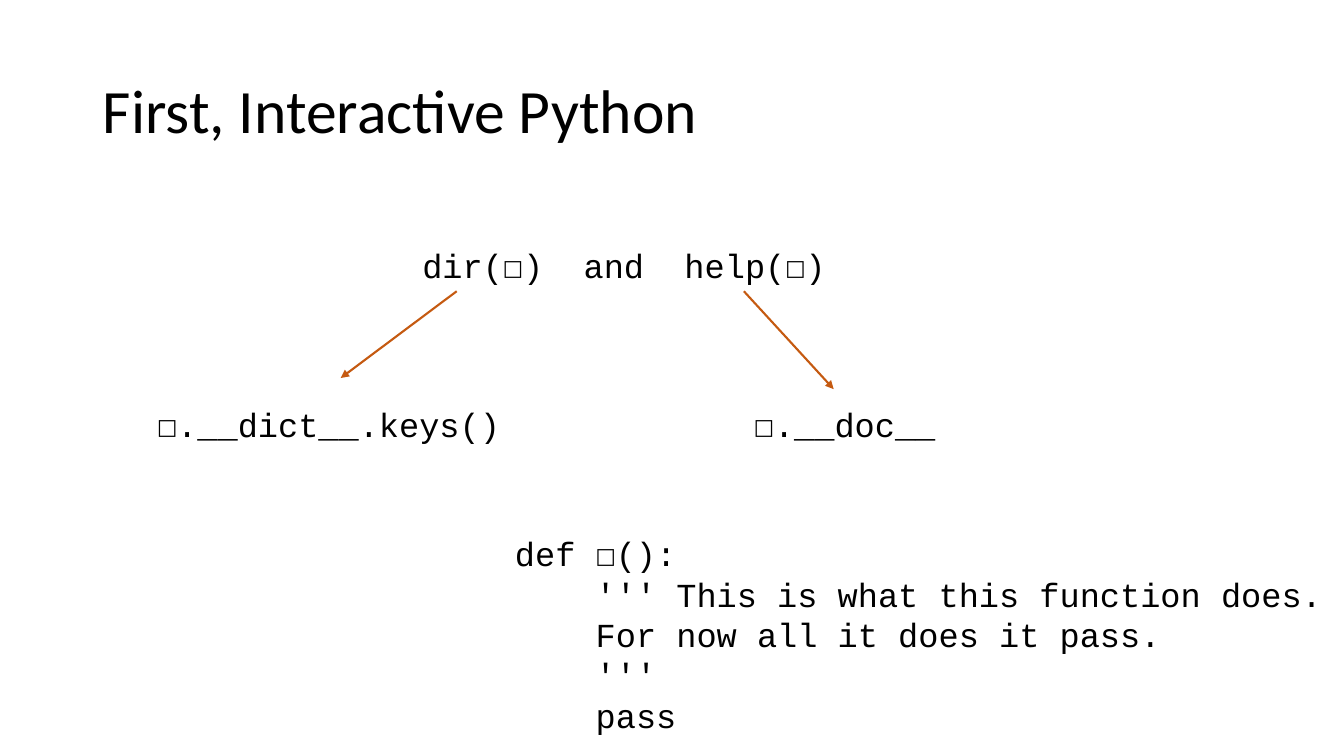
import dataclasses
import lxml.etree
import pptx
import pptx.dml.color
import pptx.enum.shapes
import pptx.enum.text
import pptx.oxml.ns
import pptx.util


@dataclasses.dataclass(frozen=True)
class Theme:
    ink: str = "000000"
    rust: str = "C55A11"
    head_font: str = "Calibri"
    code_font: str = "Courier New"
    head_size: float = 44
    code_size: float = 24
    line_width: float = 1.5


THEME = Theme()
WIDTH = pptx.util.Inches(13.33)
HEIGHT = pptx.util.Inches(7.5)
CALL_ROW = 31.73
RESULT_ROW = 52.8
ARROW_ROW = 38.53


def scale(*shares):
    sides = (WIDTH, HEIGHT) * 2
    return [round(side * share / 100) for side, share in zip(sides, shares)]


def color(code):
    return pptx.dml.color.RGBColor.from_string(code)


def style(frame, font, size):
    for para in frame.paragraphs:
        for run in para.runs:
            run.font.name = font
            run.font.size = pptx.util.Pt(size)
            run.font.color.rgb = color(THEME.ink)


def add_title(slide, text, *shares):
    title = slide.shapes.title
    title.left, title.top, title.width, title.height = scale(*shares)
    frame = title.text_frame
    frame.text = text
    frame.vertical_anchor = pptx.enum.text.MSO_ANCHOR.MIDDLE
    frame.paragraphs[0].alignment = pptx.enum.text.PP_ALIGN.LEFT
    frame.paragraphs[0].line_spacing = 0.9
    style(frame, THEME.head_font, THEME.head_size)


def add_code(slide, lines, *shares):
    frame = slide.shapes.add_textbox(*scale(*shares)).text_frame
    frame.word_wrap = True
    frame.auto_size = pptx.enum.text.MSO_AUTO_SIZE.SHAPE_TO_FIT_TEXT
    frame.text = "\n".join(lines)
    style(frame, THEME.code_font, THEME.code_size)


def add_arrow(slide, *shares):
    kind = pptx.enum.shapes.MSO_CONNECTOR.STRAIGHT
    arrow = slide.shapes.add_connector(kind, *scale(*shares))
    arrow.line.color.rgb = color(THEME.rust)
    arrow.line.width = pptx.util.Pt(THEME.line_width)
    tag = pptx.oxml.ns.qn
    props = arrow.element.spPr
    lxml.etree.SubElement(props.find(tag("a:ln")), tag("a:tailEnd"), type="triangle")
    lxml.etree.SubElement(props, tag("a:effectLst"))


def main():
    deck = pptx.Presentation()
    deck.slide_width, deck.slide_height = WIDTH, HEIGHT
    slide = deck.slides.add_slide(deck.slide_layouts[5])

    add_title(slide, "First, Interactive Python", 6.9, 5.33, 86.25, 19.33)
    add_code(slide, ["dir(☐)  and  help(☐)"], 30.68, CALL_ROW, 49.35, 10.8)
    add_code(slide, ["☐.__dict__.keys()"], 10.95, RESULT_ROW, 28.73, 6.67)
    add_code(slide, ["☐.__doc__"], 55.35, RESULT_ROW, 19.95, 6.67)
    add_arrow(slide, 33.98, ARROW_ROW, 25.35, 50)
    add_arrow(slide, 55.35, ARROW_ROW, 62.03, 51.47)
    add_code(slide, [
        "def ☐():",
        "    ''' This is what this function does.",
        "    For now all it does it pass.",
        "    '''",
        "    pass",
    ], 37.58, 69.87, 62.4, 28.27)

    deck.save("out.pptx")


if __name__ == "__main__":
    main()
